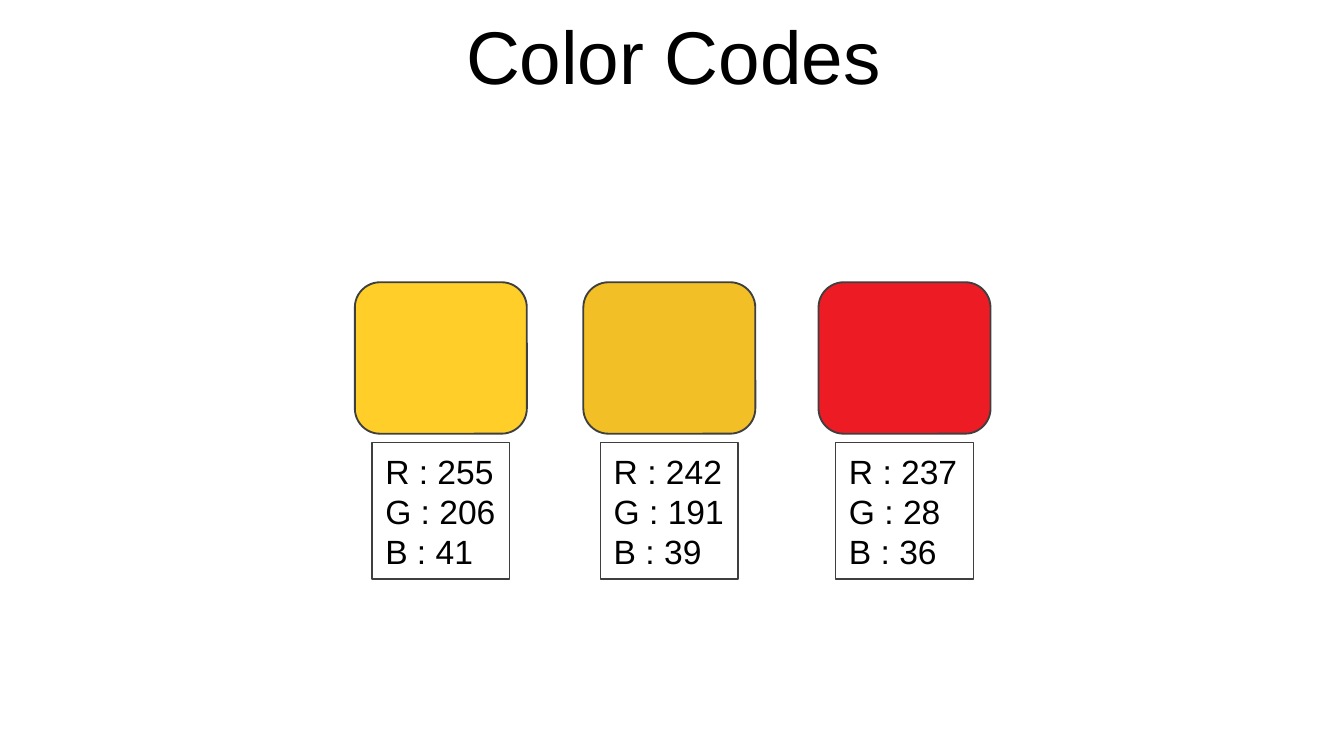
from pptx import Presentation
from pptx.dml.color import RGBColor
from pptx.enum.shapes import MSO_SHAPE
from pptx.enum.text import MSO_ANCHOR, PP_ALIGN
from pptx.util import Inches, Pt

ROUNDED = MSO_SHAPE.ROUNDED_RECTANGLE
RECTANGLE = MSO_SHAPE.RECTANGLE
MIDDLE = MSO_ANCHOR.MIDDLE
CENTER = PP_ALIGN.CENTER
LEFT = PP_ALIGN.LEFT

FONT = "Arial"
COLORS = {
    "text": "000000",
    "outline": "3F3F3F",
    "yellow": "FFCE29",
    "gold": "F2BF27",
    "red": "ED1C24",
}
SLIDE_WIDTH = 10
SLIDE_HEIGHT = SLIDE_WIDTH * 9 / 16
SWATCHES = [("yellow", 2.64), ("gold", 4.34), ("red", 6.09)]
SWATCH_TOP, SWATCH_WIDTH, SWATCH_HEIGHT = 2.1, 1.28, 2.21


def rgb(name):
    return RGBColor.from_string(COLORS[name])


def write(frame, lines, size, align, inset, spacing=None):
    frame.word_wrap = True
    frame.vertical_anchor = MIDDLE
    frame.margin_left = frame.margin_right = Inches(0.1)
    frame.margin_top = frame.margin_bottom = Inches(inset)
    frame.text = "\n".join(lines)
    for paragraph in frame.paragraphs:
        paragraph.alignment = align
        if spacing:
            paragraph.line_spacing = Pt(spacing)
        for run in paragraph.runs:
            run.font.name = FONT
            run.font.size = Pt(size)
            run.font.color.rgb = rgb("text")


def outlined(shapes, preset, box, line_width, fill=None):
    shape = shapes.add_shape(preset, *(Inches(length) for length in box))
    shape.shadow.inherit = False
    if fill:
        shape.fill.solid()
        shape.fill.fore_color.rgb = rgb(fill)
    else:
        shape.fill.background()
    shape.line.color.rgb = rgb("outline")
    shape.line.width = Pt(line_width)
    return shape


def add_title(slide, box):
    title = slide.shapes.add_textbox(*(Inches(length) for length in box))
    write(title.text_frame, ["Color Codes"], 40, CENTER, 0.1)


def add_swatch(slide, box, color):
    left, top, width, height = box
    shapes = slide.shapes.add_group_shape().shapes
    tile_box = (left, top, width, height * 0.51)
    outlined(shapes, ROUNDED, tile_box, 1, color)
    code_box = (left + width * 0.1, top + height * 0.54, width * 0.8, height * 0.46)
    code = outlined(shapes, RECTANGLE, code_box, 0.75)
    lines = [f"{channel} : {value}" for channel, value in zip("RGB", rgb(color))]
    write(code.text_frame, lines, 18, LEFT, 0.05, 21.5)


def main():
    deck = Presentation()
    deck.slide_width = Inches(SLIDE_WIDTH)
    deck.slide_height = Inches(SLIDE_HEIGHT)
    slide = deck.slides.add_slide(deck.slide_layouts[6])
    for color, left in SWATCHES:
        add_swatch(slide, (left, SWATCH_TOP, SWATCH_WIDTH, SWATCH_HEIGHT), color)
    add_title(slide, (0.02, 0.09, 9.98, 0.64))
    deck.save("out.pptx")


if __name__ == "__main__":
    main()
